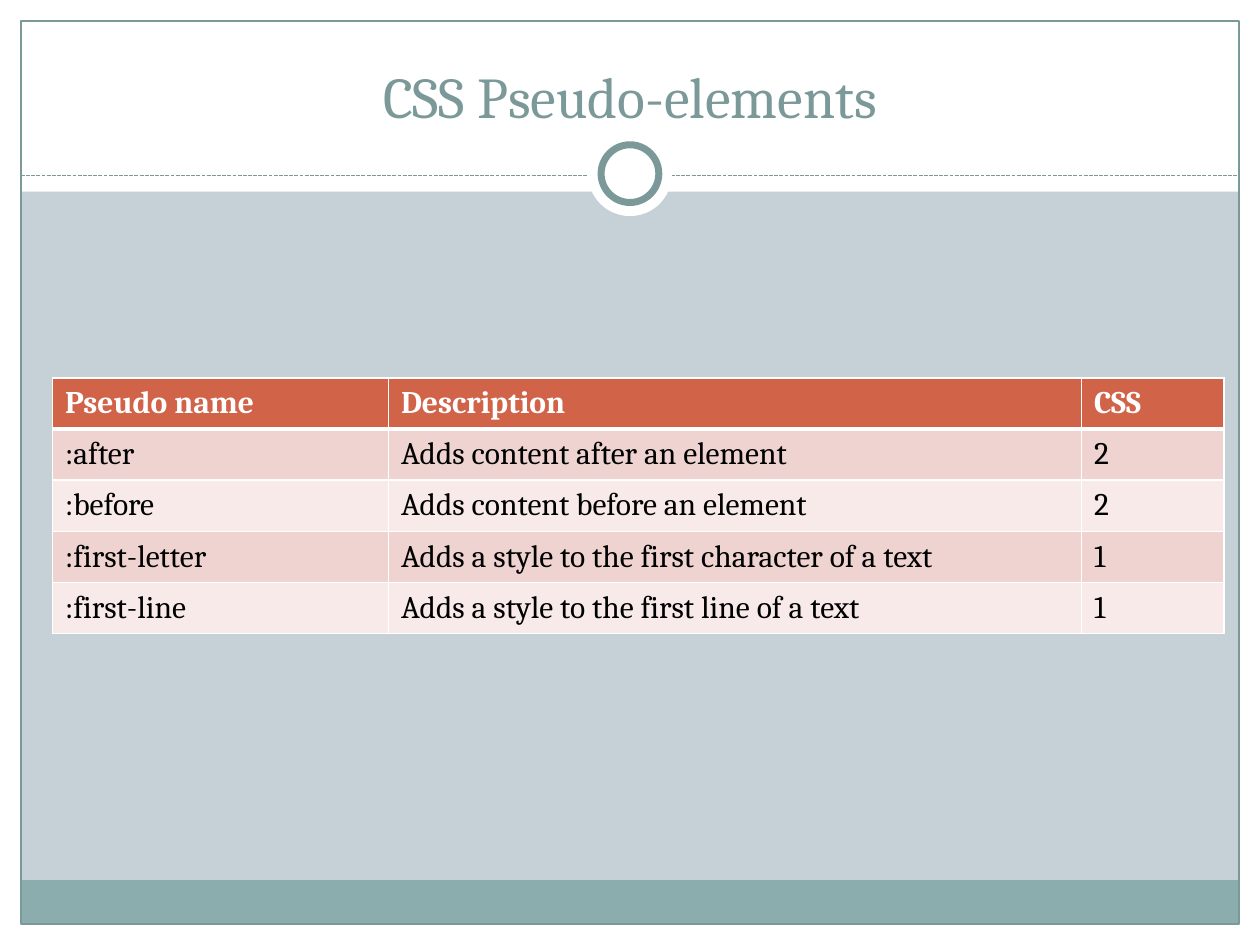
from lxml.etree import SubElement
from pptx import Presentation
from pptx.dml.color import RGBColor
from pptx.enum.dml import MSO_LINE
from pptx.enum.shapes import MSO_CONNECTOR, MSO_SHAPE
from pptx.enum.text import MSO_ANCHOR, PP_ALIGN
from pptx.oxml.ns import qn
from pptx.util import Pt

COLORS = {
    "white": "FFFFFF", "black": "000000", "background": "C5D1D7",
    "teal": "7C999A", "footer": "8CADAE", "header": "D16349",
    "odd row": "EED3D0", "even row": "F7EAE9",
}
FONT = "Cambria"
ROWS = [
    ("Pseudo name", "Description", "CSS"),
    (":after", "Adds content after an element", "2"),
    (":before", "Adds content before an element", "2"),
    (":first-letter", "Adds a style to the first character of a text", "1"),
    (":first-line", "Adds a style to the first line of a text", "1"),
]
COLUMN_WIDTHS = [192, 396, 81.5]
ROW_HEIGHT = 29.2


def color(name):
    return RGBColor.from_string(COLORS[name])


def write(text_frame, text, size, color_name, bold=False, align=PP_ALIGN.LEFT):
    paragraph = text_frame.paragraphs[0]
    paragraph.alignment = align
    run = paragraph.add_run()
    run.text = text
    run.font.name = FONT
    run.font.size = Pt(size)
    run.font.bold = bold
    run.font.color.rgb = color(color_name)


presentation = Presentation()
presentation.slide_width, presentation.slide_height = Pt(720), Pt(540)
slide = presentation.slides.add_slide(presentation.slide_layouts[5])
slide.background.fill.solid()
slide.background.fill.fore_color.rgb = color("background")

# Frame: white margins and title band, footer bar, thin outline
RECT, OVAL = MSO_SHAPE.RECTANGLE, MSO_SHAPE.OVAL
frame_shapes = [
    (RECT, 0, 528, 720, 12, "white", None),
    (RECT, 0, 0, 720, 109.5, "white", None),
    (RECT, 0, 0, 12, 540, "white", None),
    (RECT, 708, 0, 12, 540, "white", None),
    (RECT, 12, 503, 696, 25, "footer", None),
    (RECT, 12, 12, 696, 516, None, 0.75),
    # The dashed divider goes between the frame and these circles
    (OVAL, 336, 75.5, 48, 48, "white", None),
    (OVAL, 343.5, 82.75, 33, 33, "white", 4),
]
for kind, left, top, width, height, fill, line_width in frame_shapes:
    if (kind, line_width) == (OVAL, None):
        divider = slide.shapes.add_connector(
            MSO_CONNECTOR.STRAIGHT, Pt(12), Pt(100.5), Pt(708), Pt(100.5))
        divider.line.color.rgb = color("teal")
        divider.line.width = Pt(0.75)
        divider.line.dash_style = MSO_LINE.SQUARE_DOT
        SubElement(divider.element.spPr, qn("a:effectLst"))
    shape = slide.shapes.add_shape(kind, Pt(left), Pt(top), Pt(width), Pt(height))
    shape.shadow.inherit = False
    if fill:
        shape.fill.solid()
        shape.fill.fore_color.rgb = color(fill)
    else:
        shape.fill.background()
    if line_width:
        shape.line.color.rgb = color("teal")
        shape.line.width = Pt(line_width)
    else:
        shape.line.fill.background()

# Title, brought in front of the white band
title = slide.shapes.title
title.left, title.top, title.width, title.height = Pt(24), Pt(18), Pt(672), Pt(60)
title.text_frame.vertical_anchor = MSO_ANCHOR.BOTTOM
write(title.text_frame, "CSS Pseudo-elements", size=33, color_name="teal",
      align=PP_ALIGN.CENTER)
title.element.getparent().append(title.element)

# Table
table = slide.shapes.add_table(
    len(ROWS), len(COLUMN_WIDTHS), Pt(30), Pt(216),
    Pt(sum(COLUMN_WIDTHS)), Pt(ROW_HEIGHT * len(ROWS))).table
for column, width in zip(table.columns, COLUMN_WIDTHS):
    column.width = Pt(width)
for row_index, values in enumerate(ROWS):
    table.rows[row_index].height = Pt(ROW_HEIGHT)
    is_header = row_index == 0
    fill = "header" if is_header else "odd row" if row_index % 2 else "even row"
    for column_index, value in enumerate(values):
        cell = table.cell(row_index, column_index)
        cell.vertical_anchor = MSO_ANCHOR.MIDDLE
        write(cell.text_frame, value, size=18, bold=is_header,
              color_name="white" if is_header else "black")
        properties = cell._tc.get_or_add_tcPr()
        for side in "LRTB":
            thick = (side, row_index) in (("B", 0), ("T", 1))
            border = SubElement(properties, qn(f"a:ln{side}"), w=str(Pt(3 if thick else 1)))
            border_fill = SubElement(border, qn("a:solidFill"))
            SubElement(border_fill, qn("a:srgbClr"), val=COLORS["white"])
        cell.fill.solid()
        cell.fill.fore_color.rgb = color(fill)

presentation.save("out.pptx")
